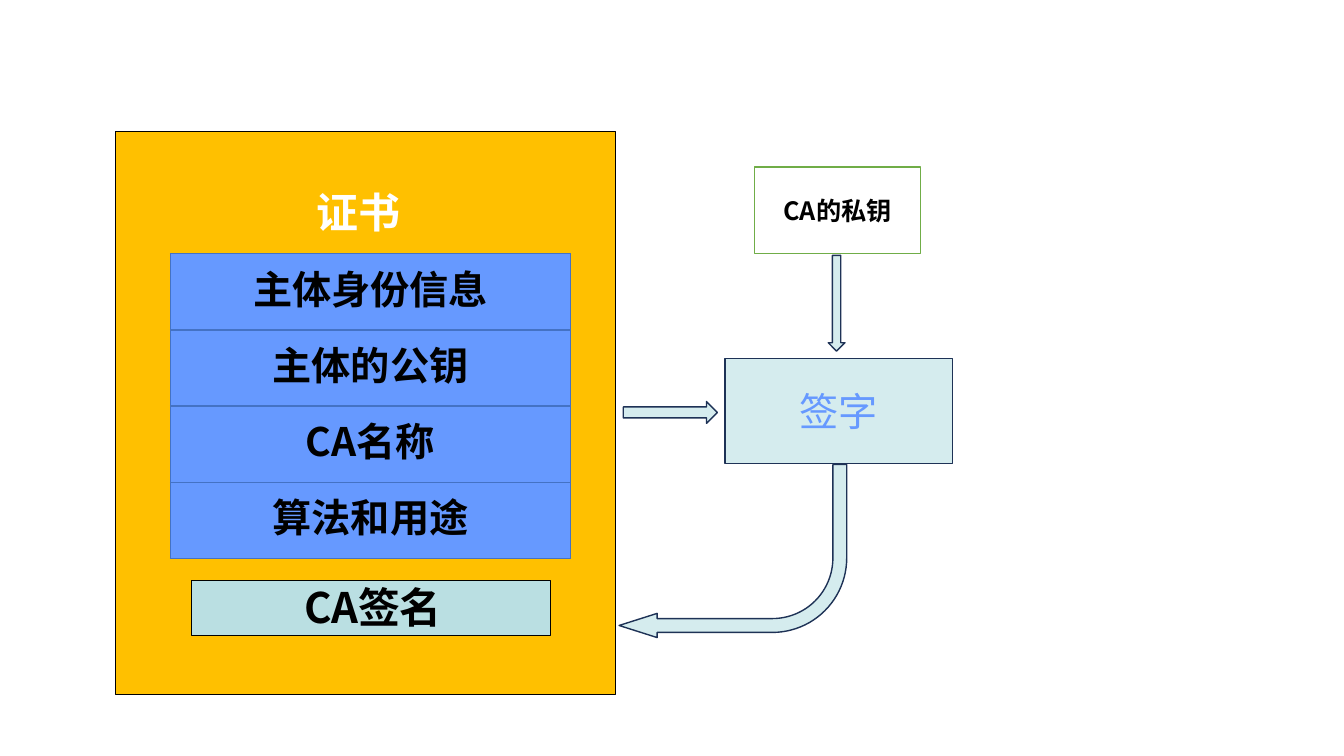
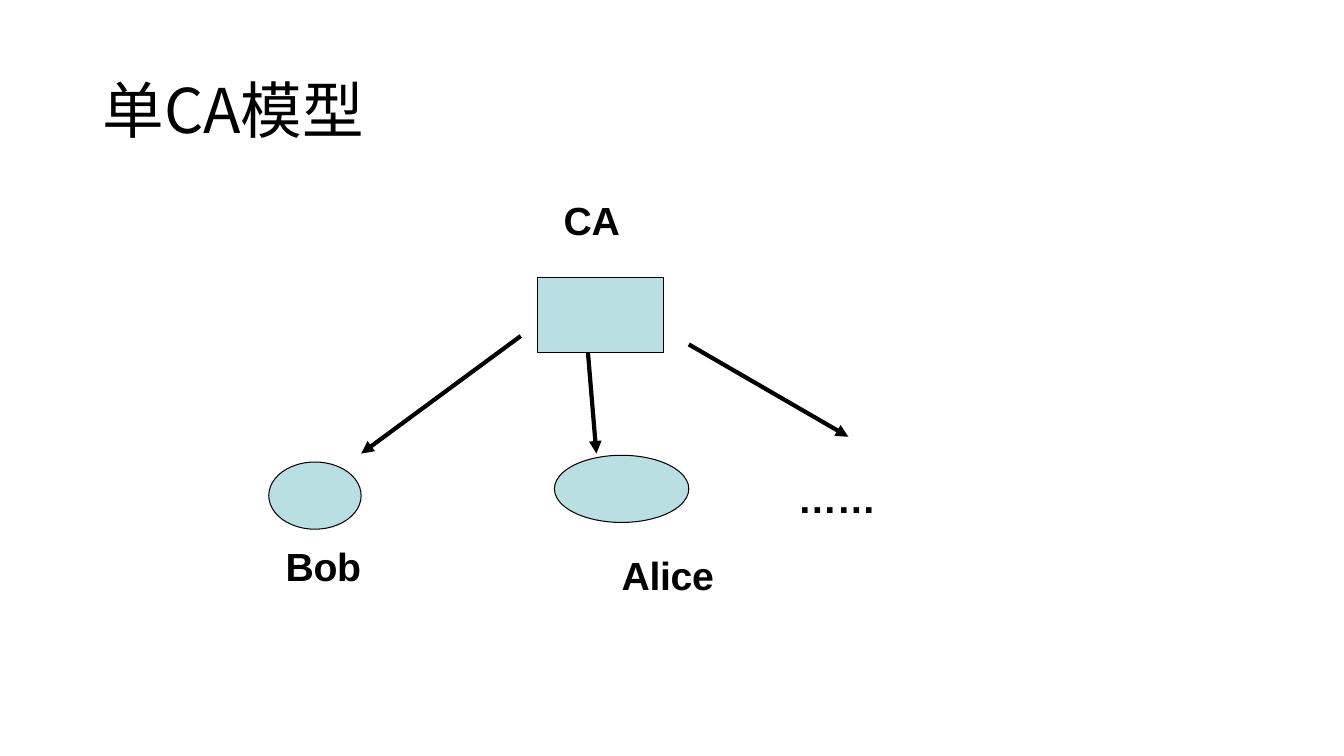
from dataclasses import dataclass

from lxml import etree
from pptx import Presentation
from pptx.dml.color import RGBColor
from pptx.enum.shapes import MSO_CONNECTOR, MSO_SHAPE
from pptx.enum.text import MSO_ANCHOR, PP_ALIGN
from pptx.oxml.ns import qn
from pptx.util import Emu, Pt

RECT, OVAL = MSO_SHAPE.RECTANGLE, MSO_SHAPE.OVAL
DOWN, RIGHT, BENT = MSO_SHAPE.DOWN_ARROW, MSO_SHAPE.RIGHT_ARROW, MSO_SHAPE.BENT_ARROW
STRAIGHT = MSO_CONNECTOR.STRAIGHT
TOP, MIDDLE = MSO_ANCHOR.TOP, MSO_ANCHOR.MIDDLE
LEFT, CENTER = PP_ALIGN.LEFT, PP_ALIGN.CENTER

# The slide is a grid of square cells, twelve to the inch
COLUMNS, ROWS, CELL = 160, 90, 76200
TITLE_ONLY, BLANK = 5, 6


@dataclass(frozen=True)
class Theme:
    black: str = "000000"
    white: str = "FFFFFF"
    gold: str = "FFC000"
    blue: str = "6699FF"
    border: str = "4472C4"
    teal: str = "BADFE2"
    pale: str = "D5ECEE"
    navy: str = "1E3256"
    green: str = "70AD47"
    chinese: str = "Noto Sans CJK SC"
    latin: str = "Arial"
    title: int = 44
    heading: int = 30
    label: int = 28
    small: int = 18
    thin: float = 0.75
    line: float = 1
    thick: float = 3


THEME = Theme()
TIGHT = {"margin_left": 0, "margin_top": 0.12, "margin_right": 0, "margin_bottom": 0}


def grid(*cells):
    return [Emu(round(cell * CELL)) for cell in cells]


def colour(value):
    return RGBColor.from_string(value)


def set_format(target, values):
    for name, value in values.items():
        setattr(target, name, value)


def write(frame, text, size=THEME.label, font=THEME.chinese, ink=THEME.black, bold=True,
          spacing=0, frame_format=None, para_format=None):
    """Write one paragraph and format its frame, paragraph and span."""
    set_format(frame, {"word_wrap": True, "vertical_anchor": MIDDLE} | (frame_format or {}))
    para = frame.paragraphs[0]
    set_format(para, {"alignment": CENTER} | (para_format or {}))
    span = para.add_run()
    span.text = text
    set_format(span.font, {"size": Pt(size), "name": font, "bold": bold})
    span.font.color.rgb = colour(ink)
    properties = span.font._element
    properties.set("spc", str(spacing))
    etree.SubElement(properties, qn("a:ea"), typeface=font)


def tight_text(frame, text, indent=0, before=1.1, spacing=-20, **style):
    """Left-aligned text that starts at the top of its box."""
    margins = TIGHT | {"margin_left": indent}
    frame_format = {name: grid(value)[0] for name, value in margins.items()}
    write(frame, text, spacing=spacing, frame_format=frame_format | {"vertical_anchor": TOP},
          para_format={"alignment": LEFT, "space_before": Pt(before)}, **style)


def add_block(page, kind, place, fill, line=THEME.black, width=THEME.thin):
    block = page.shapes.add_shape(kind, *grid(*place))
    block.shadow.inherit = False
    block.fill.solid()
    block.fill.fore_color.rgb = colour(fill)
    block.line.color.rgb = colour(line)
    block.line.width = Pt(width)
    return block


def add_label(page, place, text, **style):
    box = page.shapes.add_textbox(*grid(*place))
    tight_text(box.text_frame, text, **style)


def add_title(page, text):
    title = page.shapes.title
    set_format(title, dict(zip(("left", "top", "width", "height"), grid(11, 4.8, 138, 17.4))))
    write(title.text_frame, text, THEME.title, bold=False,
          para_format={"alignment": LEFT, "line_spacing": 0.9})


def add_arrow(page, start, end):
    arrow = page.shapes.add_connector(STRAIGHT, *grid(*start, *end))
    arrow.line.color.rgb = colour(THEME.black)
    arrow.line.width = Pt(THEME.thick)
    etree.SubElement(arrow.line._get_or_add_ln(), qn("a:tailEnd"), type="triangle")
    etree.SubElement(arrow._element.spPr, qn("a:effectLst"))


def add_border(cell, side, width):
    edge = etree.SubElement(cell._tc.get_or_add_tcPr(), qn("a:ln" + side), w=str(Pt(width)))
    fill = etree.SubElement(edge, qn("a:solidFill"))
    etree.SubElement(fill, qn("a:srgbClr"), val=THEME.border)


def add_fields(page, place, row_height, fields):
    """One-column table with a heavier rule below its first row."""
    left, top, width = place
    frame = page.shapes.add_table(len(fields), 1, *grid(left, top, width, row_height * len(fields)))
    table = frame.table
    set_format(table, {"first_row": False, "horz_banding": False})
    for index, field in enumerate(fields):
        table.rows[index].height = grid(row_height)[0]
        cell = table.cell(index, 0)
        heavy = {0: "B", 1: "T"}.get(index)
        for side in "LRTB":
            add_border(cell, side, 2 if side == heavy else THEME.line)
        cell.fill.solid()
        cell.fill.fore_color.rgb = colour(THEME.blue)
        write(cell.text_frame, field, frame_format={"vertical_anchor": None})


def build_certificate(deck):
    page = deck.slides.add_slide(deck.slide_layouts[BLANK])

    # Certificate panel with heading and signature
    add_block(page, RECT, (13.7, 15.6, 59.6, 67.1), THEME.gold)
    add_label(page, (37.7, 22.1, 10.4, 6.4), "证书", size=THEME.heading, ink=THEME.white, before=1)
    signature = add_block(page, RECT, (22.8, 69.1, 42.8, 6.6), THEME.teal)
    tight_text(signature.text_frame, "CA签名", indent=13.4, before=3, size=THEME.heading)

    # Signing step and the private key
    pale = {"fill": THEME.pale, "line": THEME.navy, "width": THEME.line}
    signing = add_block(page, RECT, (86.3, 42.7, 27.1, 12.5), **pale)
    write(signing.text_frame, "签字", ink=THEME.blue, bold=False)
    key = add_block(page, RECT, (89.8, 19.9, 19.8, 10.3), THEME.white, THEME.green, THEME.line)
    write(key.text_frame, "CA的私钥", THEME.small)

    # Block arrows: key to signing, certificate to signing, and back
    add_block(page, DOWN, (98.6, 30.4, 2, 11.4), **pale)
    add_block(page, RIGHT, (74.2, 47.8, 11.2, 2.6), **pale)
    back = add_block(page, BENT, (73.7, 55.3, 27.1, 20.6), **pale)
    back.rotation = 180
    for index, share in enumerate((0.08, 0.07, 0.22, 0.43)):
        back.adjustments[index] = share

    # Certificate contents
    add_fields(page, (20.3, 30.2, 47.6), 9.07, ("主体身份信息", "主体的公钥", "CA名称", "算法和用途"))


def build_single_ca(deck):
    page = deck.slides.add_slide(deck.slide_layouts[TITLE_ONLY])
    add_title(page, "单CA模型")

    # The authority and its users
    for kind, place in ((RECT, (64, 33, 15, 9)), (OVAL, (32, 55, 11, 8)), (OVAL, (66, 54.2, 16, 8))):
        add_block(page, kind, place, THEME.teal)

    # Names
    for text, left, top, width in (("CA", 67.1, 23.3, 7.1), ("Bob", 34, 64.4, 9.4),
                                   ("Alice", 74, 65.5, 11.4), ("……", 95, 56.3, 9.7)):
        add_label(page, (left, top, width, 6), text, font=THEME.latin)

    # Certificates issued
    for start, end in (((62, 40), (43, 54)), ((70, 42), (71, 54)), ((82, 41), (101, 52))):
        add_arrow(page, start, end)


def main():
    deck = Presentation()
    deck.slide_width, deck.slide_height = grid(COLUMNS, ROWS)
    build_certificate(deck)
    build_single_ca(deck)
    deck.save("out.pptx")


if __name__ == "__main__":
    main()
